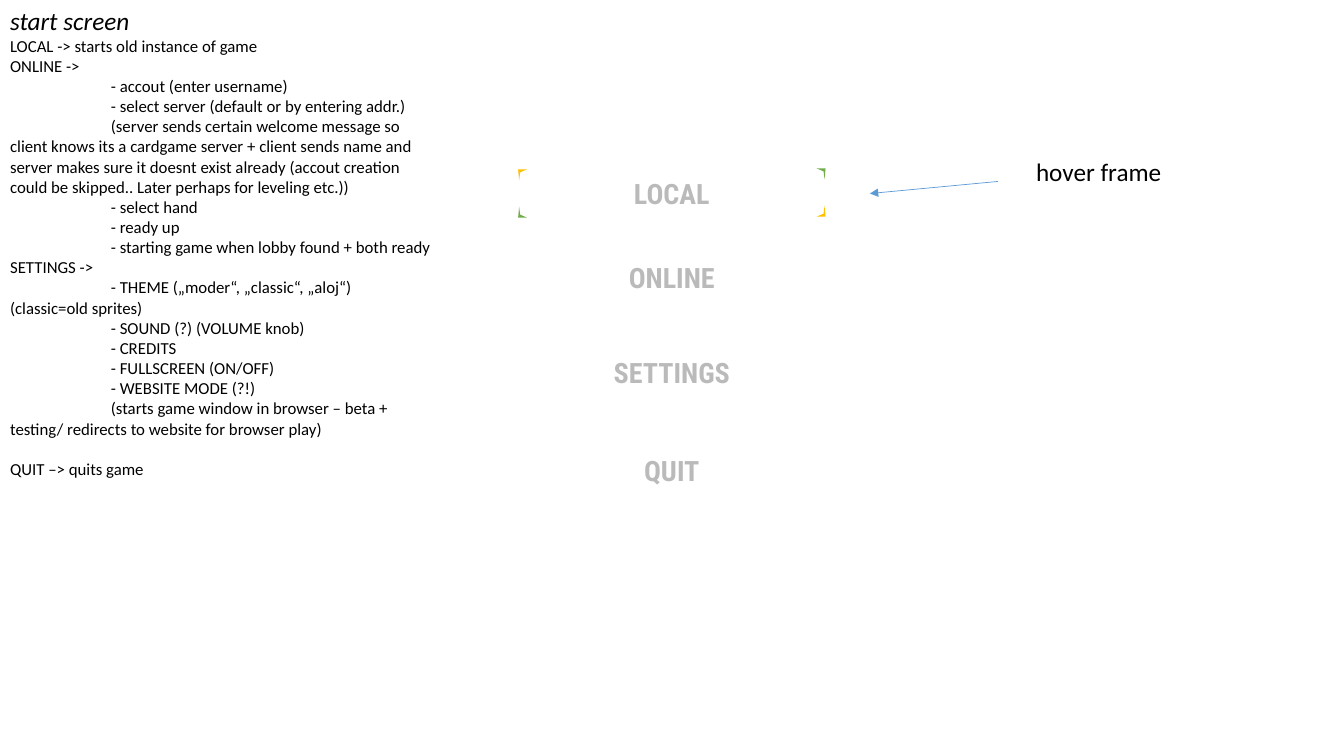
from collections import namedtuple
from pptx import Presentation
from pptx.dml.color import RGBColor
from pptx.enum.shapes import MSO_CONNECTOR
from pptx.enum.text import MSO_ANCHOR, MSO_AUTO_SIZE, PP_ALIGN
from pptx.oxml.ns import qn
from pptx.util import Inches, Pt

Box = namedtuple("Box", "left top width height")

COLUMNS, ROWS = 133.33, 75
BLACK, GREY, BLUE = "000000", "BABABA", "5B9BD5"
YELLOW, GREEN = "FFC000", "70AD47"
INDENT = 10

NOTES = [
    ("LOCAL -> starts old instance of game", 0),
    ("ONLINE ->", 0),
    ("- accout (enter username)", INDENT),
    ("- select server (default or by entering addr.)", INDENT),
    ("(server sends certain welcome message so client knows its a cardgame server "
     "+ client sends name and server makes sure it doesnt exist already "
     "(accout creation could be skipped.. Later perhaps for leveling etc.))", INDENT),
    ("- select hand", INDENT),
    ("- ready up", INDENT),
    ("- starting game when lobby found + both ready", INDENT),
    ("SETTINGS ->", 0),
    ("- THEME („moder“, „classic“, „aloj“) (classic=old sprites)", INDENT),
    ("- SOUND (?) (VOLUME knob)", INDENT),
    ("- CREDITS", INDENT),
    ("- FULLSCREEN (ON/OFF)", INDENT),
    ("- WEBSITE MODE (?!)", INDENT),
    ("(starts game window in browser – beta +\v"
     "testing/ redirects to website for browser play)", INDENT),
    ("QUIT –> quits game", 0),
]
MENU = [("LOCAL", 0.3), ("ONLINE", 8.7), ("SETTINGS", 18.1), ("QUIT", 27.8)]


def grid(count):
    """Turn a number of columns or rows into a length."""
    return Inches(count / 10)


def color(code):
    """Turn a hex string into a colour."""
    return RGBColor.from_string(code)


def place(shape, box):
    """Move a text shape to a box and set up its frame."""
    shape.left, shape.top, shape.width, shape.height = map(grid, box)
    frame = shape.text_frame
    frame.word_wrap = True
    frame.auto_size = MSO_AUTO_SIZE.NONE
    frame.vertical_anchor = MSO_ANCHOR.TOP
    return frame


def write(para, text, size=12, font="Calibri", fill=BLACK, bold=False,
          italic=False, align=PP_ALIGN.LEFT, before=0):
    """Fill a paragraph with formatted text."""
    para.text = text
    para.alignment = align
    para.space_before = Pt(before)
    for span in para.runs:
        span.font.size, span.font.name = Pt(size), font
        span.font.bold, span.font.italic = bold, italic
        span.font.color.rgb = color(fill)


def add_label(page, box, text, **style):
    """Add a one-line text box."""
    frame = place(page.shapes.add_textbox(0, 0, 0, 0), box)
    write(frame.paragraphs[0], text, **style)


def add_notes(page, box):
    """Write the heading and the outline of the start screen."""
    heading = 3.5
    title = place(page.shapes.title, box._replace(height=heading))
    write(title.paragraphs[0], "start screen", size=18, italic=True)
    body = place(page.placeholders[1], box._replace(
        top=box.top + heading, height=box.height - heading))
    body.margin_top = 0
    for index, (text, indent) in enumerate(NOTES):
        para = body.paragraphs[0] if index == 0 else body.add_paragraph()
        write(para, text, before=14.6 if text.startswith("QUIT") else 0)
        settings = para._p.get_or_add_pPr()
        settings.set("marL", "0")
        settings.set("indent", str(grid(indent)))
        settings.append(settings.makeelement(qn("a:buNone"), {}))


def add_corner(page, left, top, across, down, fill):
    """Draw one corner mark that points across and down from its tip."""
    outline = [(0.9, 0), (0, 0), (0.1, 1.1), (0.2, 0.3)]
    points = [(grid(left + across * x), grid(top + down * y)) for x, y in outline]
    builder = page.shapes.build_freeform(*points[0], scale=1.0)
    builder.add_line_segments(points[1:], close=True)
    mark = builder.convert_to_shape()
    mark.shadow.inherit = False
    mark.fill.solid()
    mark.fill.fore_color.rgb = color(fill)
    mark.line.fill.background()


def add_menu(page, box):
    """Draw the hover frame and the menu entries below its top."""
    right, frame_height, tilt = box.left + box.width, 4.8, 0.1
    for side, across, lift, fills in ((box.left, 1, 0, (YELLOW, GREEN)),
                                      (right, -1, tilt, (GREEN, YELLOW))):
        add_corner(page, side, box.top - lift, across, 1, fills[0])
        add_corner(page, side, box.top + frame_height - lift, across, -1, fills[1])
    inset = 4.6
    for text, offset in MENU:
        entry = Box(box.left + inset, box.top + offset - tilt,
                    box.width - 2 * inset, 4.4)
        add_label(page, entry, text, size=20, font="Roboto Condensed",
                  fill=GREY, bold=True, align=PP_ALIGN.CENTER)


def add_callout(page, box):
    """Add the hover label and the arrow that leads from it."""
    label = 15.5
    add_label(page, Box(box.left + label, box.top, box.width - label, box.height),
              "hover frame", size=18)
    arrow = page.shapes.add_connector(
        MSO_CONNECTOR.STRAIGHT, grid(box.left + 12.7), grid(box.top + 3),
        grid(box.left), grid(box.top + 4.2))
    arrow.line.color.rgb = color(BLUE)
    arrow.line.width = Pt(0.5)
    line = arrow.line._get_or_add_ln()
    line.append(line.makeelement(qn("a:tailEnd"), {"type": "triangle"}))
    properties = arrow._element.spPr
    properties.append(properties.makeelement(qn("a:effectLst"), {}))


def main():
    """Build the deck and save it."""
    deck = Presentation()
    deck.slide_width, deck.slide_height = grid(COLUMNS), grid(ROWS)
    page = deck.slides.add_slide(deck.slide_layouts[1])
    add_notes(page, Box(0, 0, 43.9, 50.5))
    add_menu(page, Box(51.4, 16.8, 30.5, 32.1))
    add_callout(page, Box(86.3, 15, 33.2, 4))
    deck.save("out.pptx")


main()
